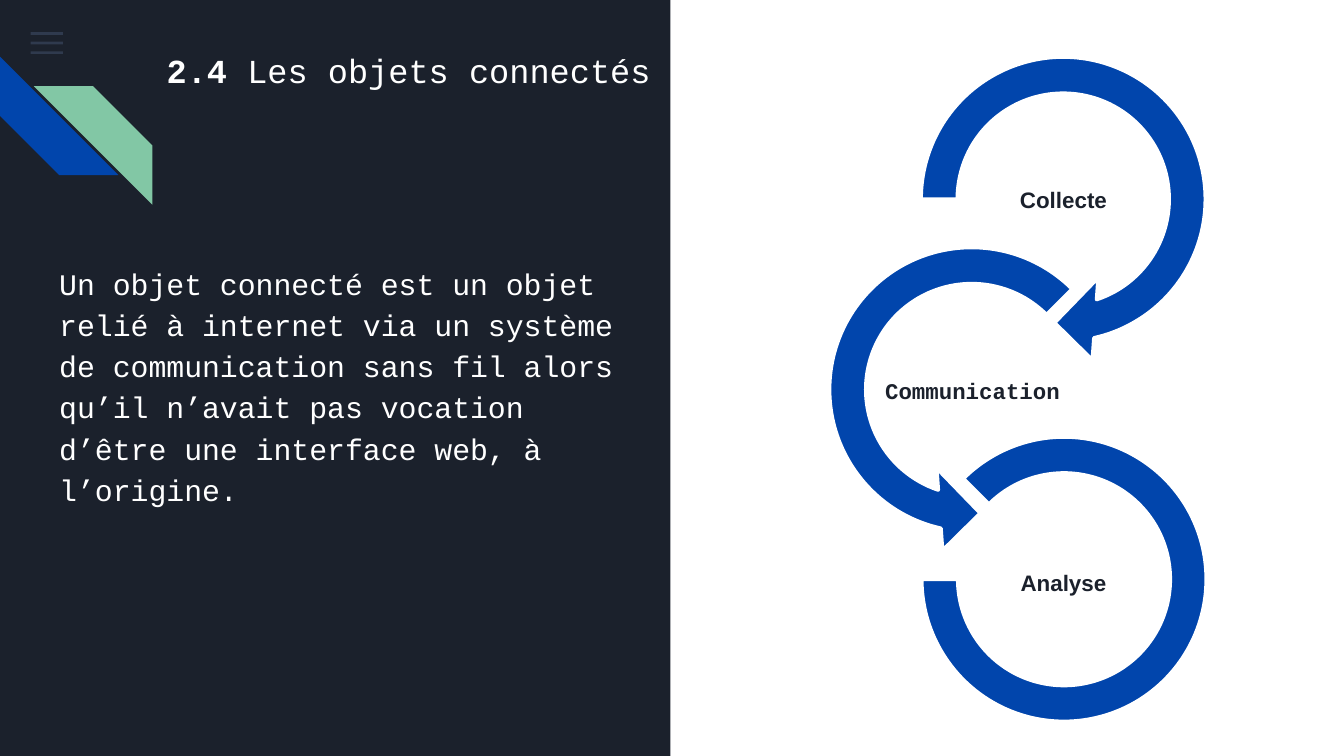
"""Build the slide on connected objects and their three-step cycle."""
from dataclasses import dataclass

from lxml import etree
from pptx import Presentation
from pptx.dml.color import RGBColor
from pptx.enum.shapes import MSO_SHAPE
from pptx.enum.text import MSO_ANCHOR, PP_ALIGN
from pptx.oxml.ns import qn
from pptx.util import Cm, Pt

RECT = MSO_SHAPE.RECTANGLE
STRIPE = MSO_SHAPE.DIAGONAL_STRIPE
RIGHT_ARROW = MSO_SHAPE.CIRCULAR_ARROW
LEFT_ARROW = MSO_SHAPE.LEFT_CIRCULAR_ARROW
ARC = MSO_SHAPE.BLOCK_ARC
TOP, MIDDLE = MSO_ANCHOR.TOP, MSO_ANCHOR.MIDDLE
LEFT, CENTER = PP_ALIGN.LEFT, PP_ALIGN.CENTER


@dataclass(frozen=True)
class Theme:
    dark: RGBColor = RGBColor(0x1B, 0x21, 0x2C)
    white: RGBColor = RGBColor(0xFF, 0xFF, 0xFF)
    blue: RGBColor = RGBColor(0x01, 0x45, 0xAC)
    green: RGBColor = RGBColor(0x82, 0xC7, 0xA5)
    slate: RGBColor = RGBColor(0x55, 0x68, 0x8B)
    mono: str = "Courier New"
    sans: str = "Arial"
    title: Pt = Pt(18)
    body: Pt = Pt(16)
    label: Pt = Pt(12)
    outline: Pt = Pt(2)


THEME = Theme()

STEPS = [
    ("Collecte", THEME.sans, 18.36, RIGHT_ARROW, (16.97, 0.64, 6.25),
     (0.11, 11.42, 45, 108, 0.125)),
    ("Communication", THEME.mono, 16.64, LEFT_ARROW, (15.24, 4.24, 6.25),
     (0.11, 11.42, 63, 189, 0.125)),
    ("Analyse", THEME.sans, 18.36, ARC, (17.42, 8.26, 5.38),
     (135, 108, 0.127)),
]


def add_shape(s, kind, box, color, adjustments=(), rotation=0):
    sp = s.shapes.add_shape(kind, *map(Cm, box))
    sp.shadow.inherit = False
    sp.fill.solid()
    sp.fill.fore_color.rgb = color
    sp.line.fill.background()
    sp.rotation = rotation
    for i, value in enumerate(adjustments):
        sp.adjustments[i] = value
    return sp


def set_alpha(sp, percent):
    color = sp.fill._xPr.find(qn("a:solidFill"))[0]
    etree.SubElement(color, qn("a:alpha"), val=str(percent * 1000))


def add_text(s, box, runs, font, size, color, margin=0.25, anchor=TOP, align=LEFT):
    tf = s.shapes.add_textbox(*map(Cm, box)).text_frame
    tf.word_wrap = True
    tf.vertical_anchor = anchor
    tf.margin_left = tf.margin_right = tf.margin_top = tf.margin_bottom = Cm(margin)
    p = tf.paragraphs[0]
    p.alignment = align
    for text, bold in runs:
        r = p.add_run()
        r.text = text
        r.font.name, r.font.size, r.font.bold = font, size, bold
        r.font.color.rgb = color
    return tf


def add_decor(s):
    add_shape(s, RECT, (12.67, 0, 12.73, 14.29), THEME.white)
    for i in range(3):
        bar = add_shape(s, RECT, (0.58, 0.61 + 0.18 * i, 0.61, 0.05), THEME.slate)
        set_alpha(bar, 36)
    add_shape(s, STRIPE, (0, 1.07, 2.24, 2.24), THEME.blue, (0.5,), 270)
    add_shape(s, STRIPE, (0.64, 1.63, 2.24, 2.24), THEME.green, (0.5,), 90)


def add_step(s, row, label, font, label_x, kind, place, adjustments):
    x, y, side = place
    sp = add_shape(s, kind, (x, y, side, side), THEME.blue, adjustments)
    sp.line.color.rgb = THEME.white
    sp.line.width = THEME.outline
    add_text(s, (label_x, 2.9 + 3.62 * row, 3.48, 1.73), [(label, True)], font,
             THEME.label, THEME.dark, 0.03, MIDDLE, CENTER)


def main():
    prs = Presentation()
    prs.slide_width, prs.slide_height = Cm(25.4), Cm(14.29)
    s = prs.slides.add_slide(prs.slide_layouts[6])
    s.background.fill.solid()
    s.background.fill.fore_color.rgb = THEME.dark
    add_decor(s)
    add_text(s, (2.9, 0.69, 9.98, 1.5),
             [("2.4", True), (" Les objets connectés", False)],
             THEME.mono, THEME.title, THEME.white)
    tf = add_text(s, (0.43, 4.67, 11.71, 4.93),
                  [("Un objet connecté est un objet relié à internet via un système "
                    "de communication sans fil alors qu’il n’avait pas vocation "
                    "d’être une interface web, à l’origine.", False)],
                  THEME.mono, THEME.body, THEME.white)
    tf.margin_left = Cm(0.69)
    tf.paragraphs[0].line_spacing = 1.15
    for row, step in enumerate(STEPS):
        add_step(s, row, *step)
    prs.save("out.pptx")


if __name__ == "__main__":
    main()
